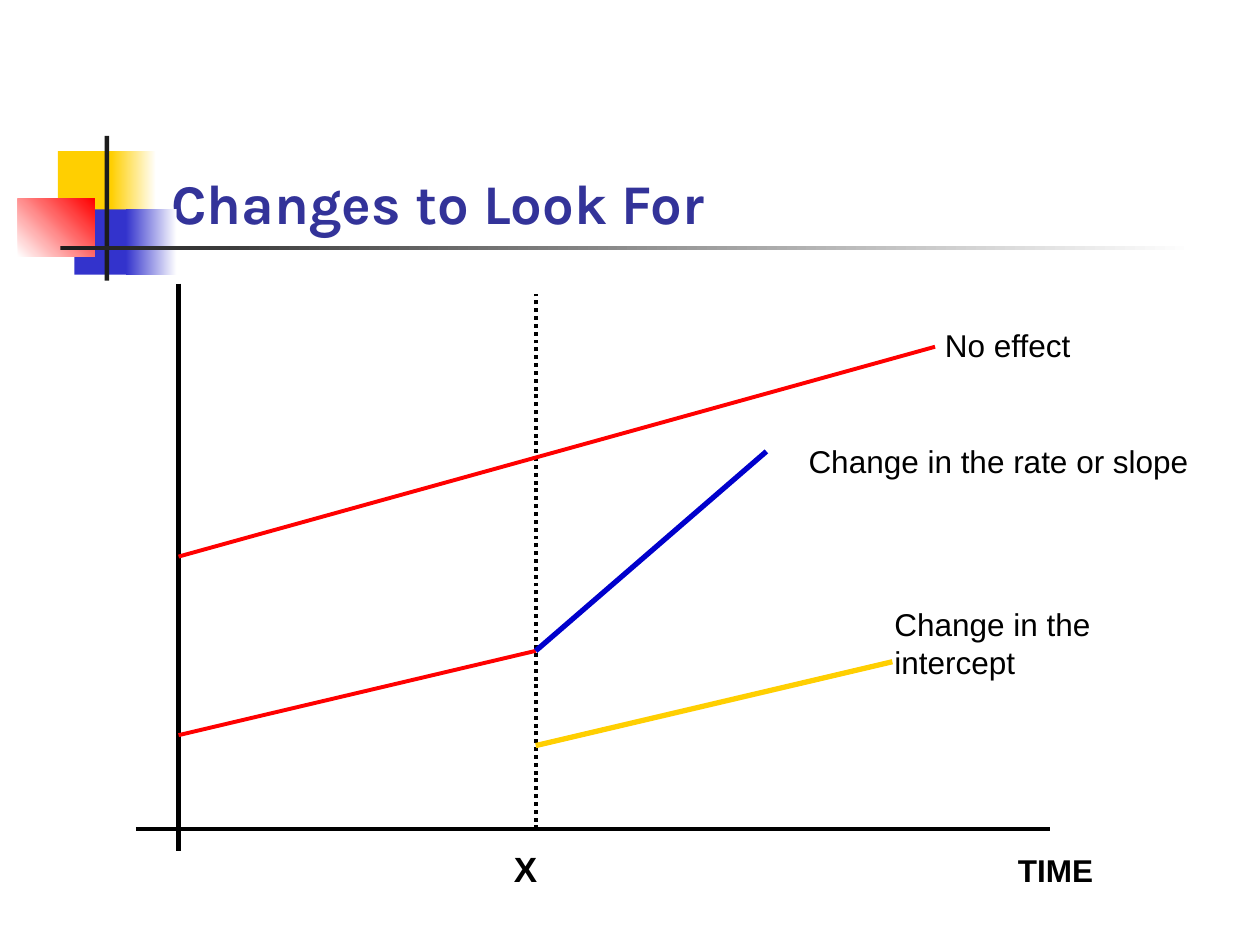
from lxml import etree
from pptx import Presentation
from pptx import util as u
from pptx.dml.color import RGBColor
from pptx.enum import dml, shapes, text
from pptx.oxml.ns import qn

BLACK = RGBColor(0x00, 0x00, 0x00)
WHITE = RGBColor(0xFF, 0xFF, 0xFF)
CHARCOAL = RGBColor(0x1C, 0x1C, 0x1C)
YELLOW = RGBColor(0xFF, 0xCF, 0x01)
INDIGO = RGBColor(0x33, 0x33, 0xCC)
BLUE = RGBColor(0x00, 0x00, 0xCC)
RED = RGBColor(0xFF, 0x00, 0x00)
TITLE_COLOR = RGBColor(0x33, 0x33, 0x99)

AXIS_X = 3.6
AXIS_Y = 16.72
EVENT_X = 10.8
RATE_START = (EVENT_X, 13.12)


def add_block(slide, left, top, width, height, start, end=None, angle=0):
    shape = slide.shapes.add_shape(
        shapes.MSO_SHAPE.RECTANGLE, u.Cm(left), u.Cm(top), u.Cm(width), u.Cm(height))
    shape.shadow.inherit = False
    shape.line.fill.background()
    if end is None:
        shape.fill.solid()
        shape.fill.fore_color.rgb = start
    else:
        shape.fill.gradient()
        shape.fill.gradient_angle = angle
        for stop, position, color in zip(shape.fill.gradient_stops, (0, 1), (start, end)):
            stop.position = position
            stop.color.rgb = color


def add_line(slide, start, end, color=BLACK, weight=2.25, dash=None):
    line = slide.shapes.add_connector(
        shapes.MSO_CONNECTOR.STRAIGHT, *(u.Cm(value) for value in start + end))
    line.line.color.rgb = color
    line.line.width = u.Pt(weight)
    if dash is not None:
        line.line.dash_style = dash
    etree.SubElement(line._element.spPr, qn("a:effectLst"))


def add_label(slide, wording, left, top, width, height=1.02, size=18, bold=False):
    box = slide.shapes.add_textbox(u.Cm(left), u.Cm(top), u.Cm(width), u.Cm(height))
    frame = box.text_frame
    frame.word_wrap = False
    frame.auto_size = text.MSO_AUTO_SIZE.SHAPE_TO_FIT_TEXT
    frame.text = wording
    set_font(frame.paragraphs[0], "Arial", size, BLACK, bold)


def set_font(paragraph, name, size, color, bold):
    paragraph.alignment = text.PP_ALIGN.LEFT
    paragraph.font.name = name
    paragraph.font.size = u.Pt(size)
    paragraph.font.color.rgb = color
    paragraph.font.bold = bold


def add_ornament(slide):
    add_block(slide, 1.17, 3.05, 1.22, 1.32, YELLOW)
    add_block(slide, 2.24, 3.05, 0.91, 1.32, YELLOW, WHITE)
    add_block(slide, 1.5, 4.22, 1.17, 1.32, INDIGO)
    add_block(slide, 2.54, 4.22, 1.02, 1.32, INDIGO, WHITE)
    add_block(slide, 0.36, 4.01, 1.55, 1.17, WHITE, RED, 45)
    add_block(slide, 2.11, 2.74, 0.09, 2.92, CHARCOAL)
    add_block(slide, 1.22, 4.95, 22.86, 0.09, CHARCOAL, WHITE)


def set_title(slide, wording):
    title = slide.shapes.title
    title.left, title.top = u.Cm(3.2), u.Cm(2.74)
    title.width, title.height = u.Cm(21.64), u.Cm(2.13)
    frame = title.text_frame
    frame.text = wording
    frame.auto_size = text.MSO_AUTO_SIZE.NONE
    frame.vertical_anchor = text.MSO_ANCHOR.BOTTOM
    set_font(frame.paragraphs[0], "Karla", 32, TITLE_COLOR, True)


def add_diagram(slide):
    add_line(slide, (AXIS_X, 5.72), (AXIS_X, 17.15), weight=3)
    add_line(slide, (2.74, AXIS_Y), (21.17, AXIS_Y))
    add_label(slide, "TIME", 20.27, 17.04, 2.03, bold=True)
    add_label(slide, "X", 10.11, 16.97, 0.99, 1.09, size=20, bold=True)
    add_line(slide, (EVENT_X, AXIS_Y), (EVENT_X, 5.93),
             dash=dml.MSO_LINE.ROUND_DOT)
    add_line(slide, (AXIS_X, 11.22), (18.85, 6.99), RED)
    add_label(slide, "No effect", 18.8, 6.45, 3.23)
    add_line(slide, (AXIS_X, 14.82), RATE_START, RED)
    add_line(slide, RATE_START, (15.45, 9.1), BLUE, 3)
    add_label(slide, "Change in the rate or slope", 16.05, 8.79, 8.18)
    add_line(slide, (EVENT_X, 15.03), (17.99, 13.34), YELLOW, 3)
    add_label(slide, "Change in the intercept", 17.78, 12.07, 7.06)


def main():
    presentation = Presentation()
    presentation.slide_width = u.Cm(25.4)
    presentation.slide_height = u.Cm(19.05)
    slide = presentation.slides.add_slide(presentation.slide_layouts[5])
    add_ornament(slide)
    set_title(slide, "Changes to Look For")
    add_diagram(slide)
    presentation.save("out.pptx")


if __name__ == "__main__":
    main()
